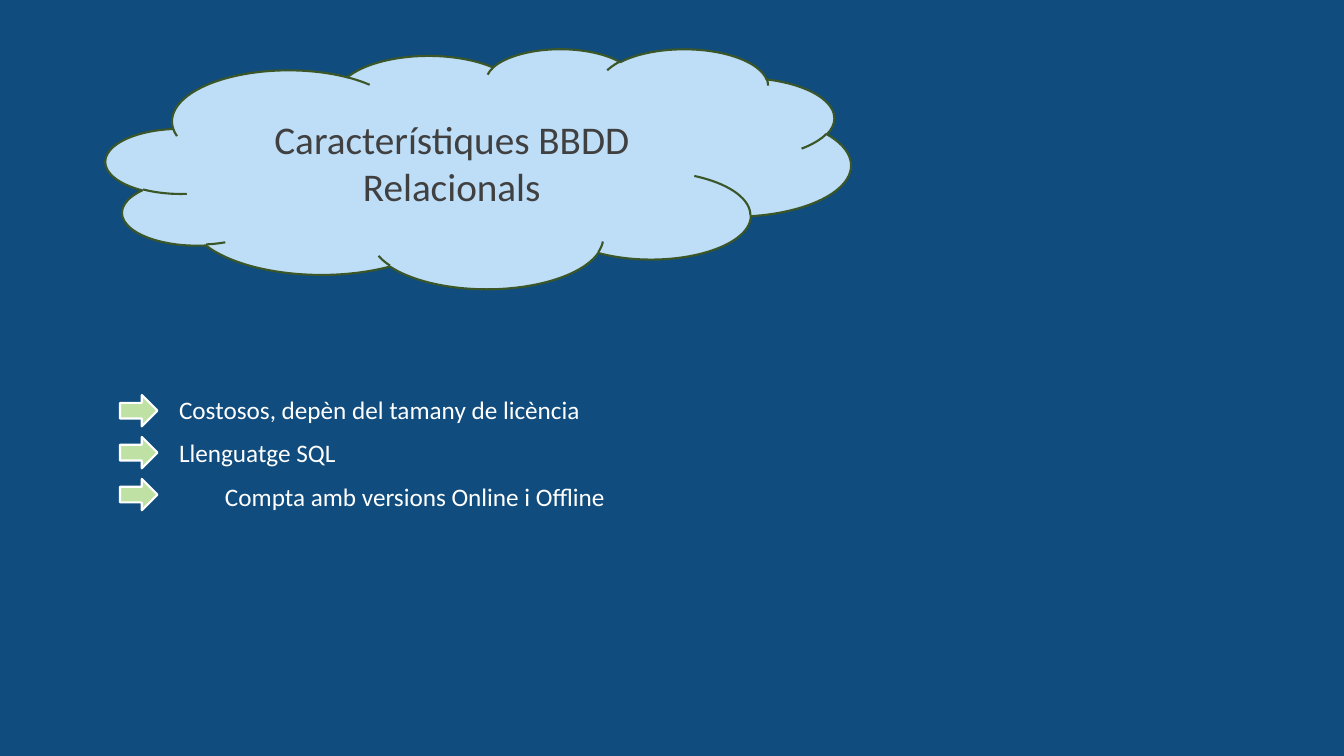
"""Build the slide on the characteristics of relational databases."""
from dataclasses import dataclass

from lxml import etree
from pptx import Presentation
from pptx.dml.color import RGBColor
from pptx.enum.shapes import MSO_SHAPE
from pptx.enum.text import MSO_ANCHOR, MSO_AUTO_SIZE, PP_ALIGN
from pptx.oxml.ns import qn
from pptx.util import Pt

CLOUD = MSO_SHAPE.CLOUD
ARROW = MSO_SHAPE.RIGHT_ARROW
TOP, MIDDLE = MSO_ANCHOR.TOP, MSO_ANCHOR.MIDDLE
CENTER, LEFT = PP_ALIGN.CENTER, PP_ALIGN.LEFT
NO_FIT = MSO_AUTO_SIZE.NONE

FONT = "Calibri"
NAVY, SKY, MOSS = "104C7E", "BEDDF7", "3B5627"
LIME, WHITE, GREY = "BFE2A4", "FFFFFF", "404040"


@dataclass(frozen=True)
class Box:
    left: float
    top: float
    width: float
    height: float


@dataclass(frozen=True)
class Feature:
    text: str
    indent: float


TITLE = "Característiques BBDD Relacionals"
FEATURES = (
    Feature("Costosos, depèn del tamany de licència", 51.6),
    Feature("Llenguatge SQL", 51.6),
    Feature("Compta amb versions Online i Offline", 84.4),
)
CLOUD_BOX = Box(75.6, 34.6, 532.1, 171.4)
TITLE_BOX = Box(148.9, 60.4, 347.6, 111.7)
BODY_BOX = Box(69.1, 182.2, 676.8, 305.3)
BODY_INSET = 99.2
ARROW_BOX = Box(85.7, 282.2, 26.8, 22.4)
ARROW_PITCH = 29.95


def color(value: str) -> RGBColor:
    return RGBColor.from_string(value)


def place(sp, box: Box) -> None:
    sp.left, sp.top = Pt(box.left), Pt(box.top)
    sp.width, sp.height = Pt(box.width), Pt(box.height)


def add_shape(s, kind, box: Box, fill: str, line: str):
    sp = s.shapes.add_shape(
        kind, Pt(box.left), Pt(box.top), Pt(box.width), Pt(box.height))
    sp.shadow.inherit = False
    sp.fill.solid()
    sp.fill.fore_color.rgb = color(fill)
    sp.line.color.rgb = color(line)
    sp.line.width = Pt(1.5)
    return sp


def format_runs(p, size: float, value: str) -> None:
    for r in p.runs:
        r.font.name = FONT
        r.font.size = Pt(size)
        r.font.color.rgb = color(value)


def fill_title(sp) -> None:
    place(sp, TITLE_BOX)
    tf = sp.text_frame
    tf.text = TITLE
    tf.word_wrap = True
    tf.auto_size = NO_FIT
    tf.vertical_anchor = MIDDLE
    p = tf.paragraphs[0]
    p.alignment = CENTER
    format_runs(p, 28, GREY)


def fill_body(sp) -> None:
    place(sp, BODY_BOX)
    tf = sp.text_frame
    tf.text = "\n".join(f.text for f in FEATURES)
    tf.word_wrap = True
    tf.auto_size = NO_FIT
    tf.vertical_anchor = TOP
    tf.margin_top = Pt(BODY_INSET)
    for p, feature in zip(tf.paragraphs, FEATURES):
        p.alignment = LEFT
        p.space_before = Pt(0)
        p.space_after = Pt(9.5)
        pPr = p._p.get_or_add_pPr()
        pPr.set("marL", str(Pt(feature.indent)))
        pPr.set("indent", "0")
        etree.SubElement(pPr, qn("a:buNone"))
        format_runs(p, 18, WHITE)


def main() -> None:
    prs = Presentation()
    prs.slide_width, prs.slide_height = Pt(960), Pt(540)
    s = prs.slides.add_slide(prs.slide_layouts[1])
    s.background.fill.solid()
    s.background.fill.fore_color.rgb = color(NAVY)

    fill_title(s.shapes.title)
    fill_body(s.placeholders[1])

    cloud = add_shape(s, CLOUD, CLOUD_BOX, SKY, MOSS)
    s.shapes.title._element.addprevious(cloud._element)

    for i in range(len(FEATURES)):
        box = Box(ARROW_BOX.left, ARROW_BOX.top + i * ARROW_PITCH,
                  ARROW_BOX.width, ARROW_BOX.height)
        add_shape(s, ARROW, box, LIME, WHITE)

    prs.save("out.pptx")


if __name__ == "__main__":
    main()
